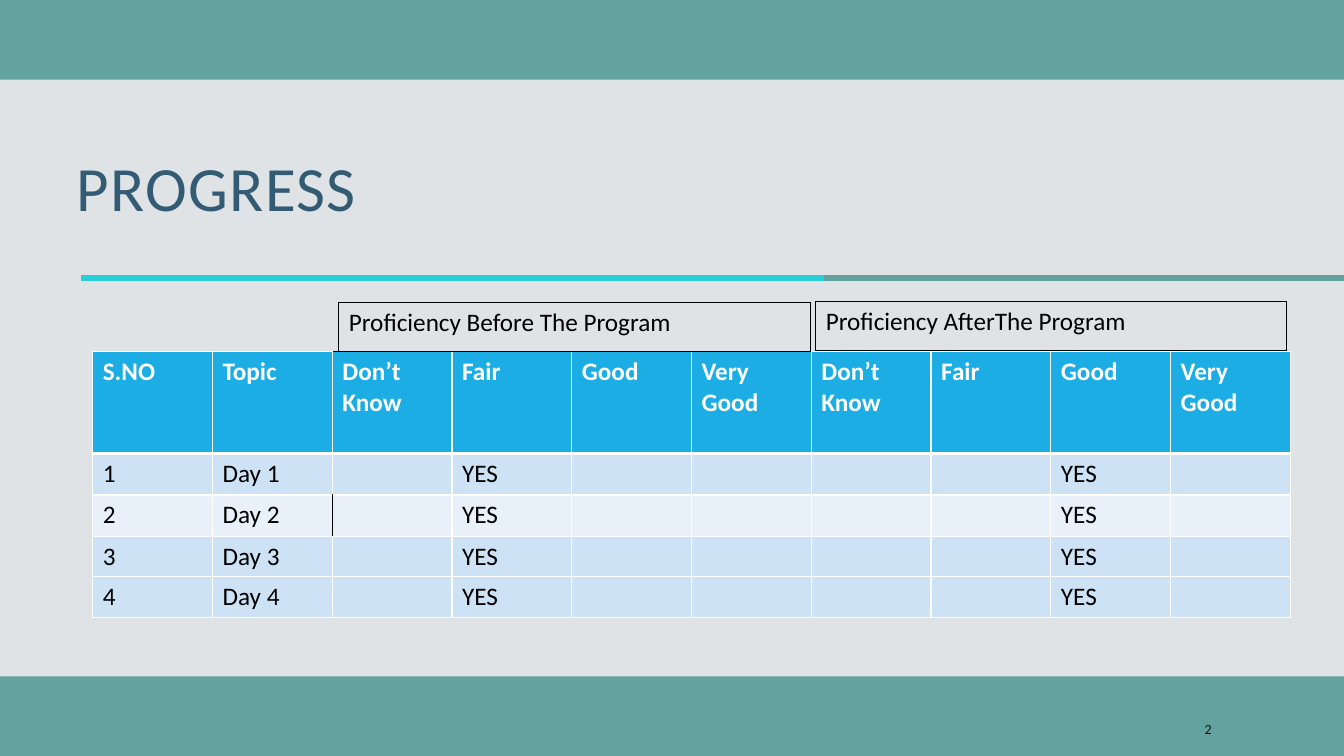
from lxml.etree import SubElement
from pptx import Presentation
from pptx.dml.color import RGBColor
from pptx.enum.shapes import MSO_CONNECTOR, MSO_SHAPE
from pptx.enum.text import MSO_ANCHOR, PP_ALIGN
from pptx.oxml.ns import qn
from pptx.util import Inches, Pt

TEAL = RGBColor(0x62, 0xA3, 0x9F)
PANEL = RGBColor(0xDF, 0xE3, 0xE5)
CYAN = RGBColor(0x27, 0xCE, 0xD7)
NAVY = RGBColor(0x33, 0x5B, 0x74)
BLUE = RGBColor(0x1C, 0xAD, 0xE4)
BAND_DARK = RGBColor(0xCD, 0xE3, 0xF5)
BAND_LIGHT = RGBColor(0xE8, 0xF1, 0xFA)
WHITE = RGBColor(0xFF, 0xFF, 0xFF)
BLACK = RGBColor(0, 0, 0)
NUMBER_INK = RGBColor(0x0D, 0x0D, 0x0D)

TITLE = "PROGRESS"
PAGE_NUMBER = "2"
LEVELS = ["Don’t Know", "Fair", "Good", "Very Good"]
HEADINGS = ["S.NO", "Topic"] + LEVELS * 2
BEFORE, AFTER = "Fair", "Good"
DAYS = ["Day 1", "Day 2", "Day 3", "Day 4"]
GROUPS = [
    ("Proficiency Before The Program", 3.36, 3.0, 4.68),
    ("Proficiency AfterThe Program", 8.09, 2.99, 4.67),
]
RULES = [(13.33, 8.15, TEAL), (8.17, 0.8, CYAN)]

RULE_TOP = 2.76
GRID_LEFT, GRID_TOP, GRID_WIDTH = 0.92, 3.49, 11.88
HEADING_HEIGHT, DAY_HEIGHT, LAST_HEIGHT, GROUP_HEIGHT = 1.01, 0.41, 0.4, 0.49
LAST_TOP = 5.72

TITLE_FONT = {"name": "Calibri", "size": Pt(45), "bold": False}
HEADING_FONT = {"name": "Calibri", "size": Pt(18), "bold": True}
BODY_FONT = {"name": "Calibri", "size": Pt(18), "bold": False}
NUMBER_FONT = {"name": "Calibri", "size": Pt(10), "bold": False}


def write(frame, words, font_format, ink):
    paragraph = frame.paragraphs[0]
    paragraph.alignment = PP_ALIGN.LEFT
    target = paragraph
    if words:
        target = paragraph.add_run()
        target.text = words
    for attribute, value in font_format.items():
        setattr(target.font, attribute, value)
    target.font.color.rgb = ink
    return target


def set_borders(cell, borders):
    properties = cell._tc.get_or_add_tcPr()
    for side in "LRTB":
        ink, points = borders[side]
        edge = SubElement(properties, qn(f"a:ln{side}"), w=str(Pt(points)))
        fill = SubElement(edge, qn("a:solidFill"))
        SubElement(fill, qn("a:srgbClr"), val=str(ink))


def add_grid(slide, place, heights, rows, style):
    left, top, width = place
    columns = len(rows[0])
    table = slide.shapes.add_table(
        len(rows), columns, Inches(left), Inches(top), Inches(width), Inches(sum(heights))
    ).table
    table.first_row = table.horz_banding = False
    for r, (words_in_row, height) in enumerate(zip(rows, heights)):
        table.rows[r].height = Inches(height)
        for c, words in enumerate(words_in_row):
            cell = table.cell(r, c)
            font_format, ink, fill, borders = style(r, c)
            write(cell.text_frame, words, font_format, ink)
            set_borders(cell, borders)
            if fill is None:
                cell.fill.background()
            else:
                cell.fill.solid()
                cell.fill.fore_color.rgb = fill


def progress_style(r, c):
    borders = dict.fromkeys("LRTB", (WHITE, 1))
    if r == 0:
        borders["B"] = (WHITE, 3)
        if c == 2:
            borders["T"] = (BLACK, 1)
        return HEADING_FONT, WHITE, BLUE, borders
    if r == 1:
        borders["T"] = (WHITE, 3)
    if r == 2 and c in (1, 2):
        borders["R" if c == 1 else "L"] = (BLACK, 1)
    return BODY_FONT, BLACK, BAND_DARK if r % 2 else BAND_LIGHT, borders


def last_day_style(r, c):
    return BODY_FONT, BLACK, BAND_DARK, dict.fromkeys("LRTB", (WHITE, 1))


def group_style(r, c):
    return BODY_FONT, BLACK, None, dict.fromkeys("LRTB", (BLACK, 1))


def day_row(number, day):
    before = ["YES" if level == BEFORE else "" for level in LEVELS]
    after = ["YES" if level == AFTER else "" for level in LEVELS]
    return [str(number), day] + before + after


def main():
    deck = Presentation()
    deck.slide_width, deck.slide_height = Inches(13.33), Inches(7.5)
    slide = deck.slides.add_slide(deck.slide_layouts[5])
    slide.background.fill.solid()
    slide.background.fill.fore_color.rgb = TEAL

    panel = slide.shapes.add_shape(
        MSO_SHAPE.RECTANGLE, 0, Inches(0.79), deck.slide_width, Inches(5.92)
    )
    panel.shadow.inherit = False
    panel.fill.solid()
    panel.fill.fore_color.rgb = PANEL
    panel.line.fill.background()

    for start, end, ink in RULES:
        rule = slide.shapes.add_connector(
            MSO_CONNECTOR.STRAIGHT, Inches(start), Inches(RULE_TOP), Inches(end), Inches(RULE_TOP)
        )
        rule.line.color.rgb = ink
        rule.line.width = Pt(4.5)
        SubElement(rule._element.spPr, qn("a:effectLst"))

    page_number = slide.shapes.add_textbox(Inches(11.85), Inches(7.08), Inches(1.06), Inches(0.3))
    page_number.text_frame.word_wrap = True
    page_number.text_frame.vertical_anchor = MSO_ANCHOR.MIDDLE
    write(page_number.text_frame, PAGE_NUMBER, NUMBER_FONT, NUMBER_INK)

    title = slide.shapes.title
    title.left, title.top, title.width, title.height = map(Inches, (0.66, 1.6, 11.5, 0.63))
    title.text_frame.vertical_anchor = MSO_ANCHOR.MIDDLE
    heading = write(title.text_frame, TITLE, TITLE_FONT, NAVY)
    heading.font._element.set("spc", "100")
    title.text_frame.paragraphs[0].line_spacing = 0.8
    slide.shapes._spTree.append(title._element)

    day_rows = [day_row(number, day) for number, day in enumerate(DAYS, 1)]
    add_grid(
        slide,
        (GRID_LEFT, GRID_TOP, GRID_WIDTH),
        [HEADING_HEIGHT] + [DAY_HEIGHT] * 3,
        [HEADINGS] + day_rows[:3],
        progress_style,
    )
    for words, left, top, width in GROUPS:
        add_grid(slide, (left, top, width), [GROUP_HEIGHT], [[words]], group_style)
    add_grid(
        slide, (GRID_LEFT, LAST_TOP, GRID_WIDTH), [LAST_HEIGHT], day_rows[3:], last_day_style
    )

    deck.save("out.pptx")


if __name__ == "__main__":
    main()
